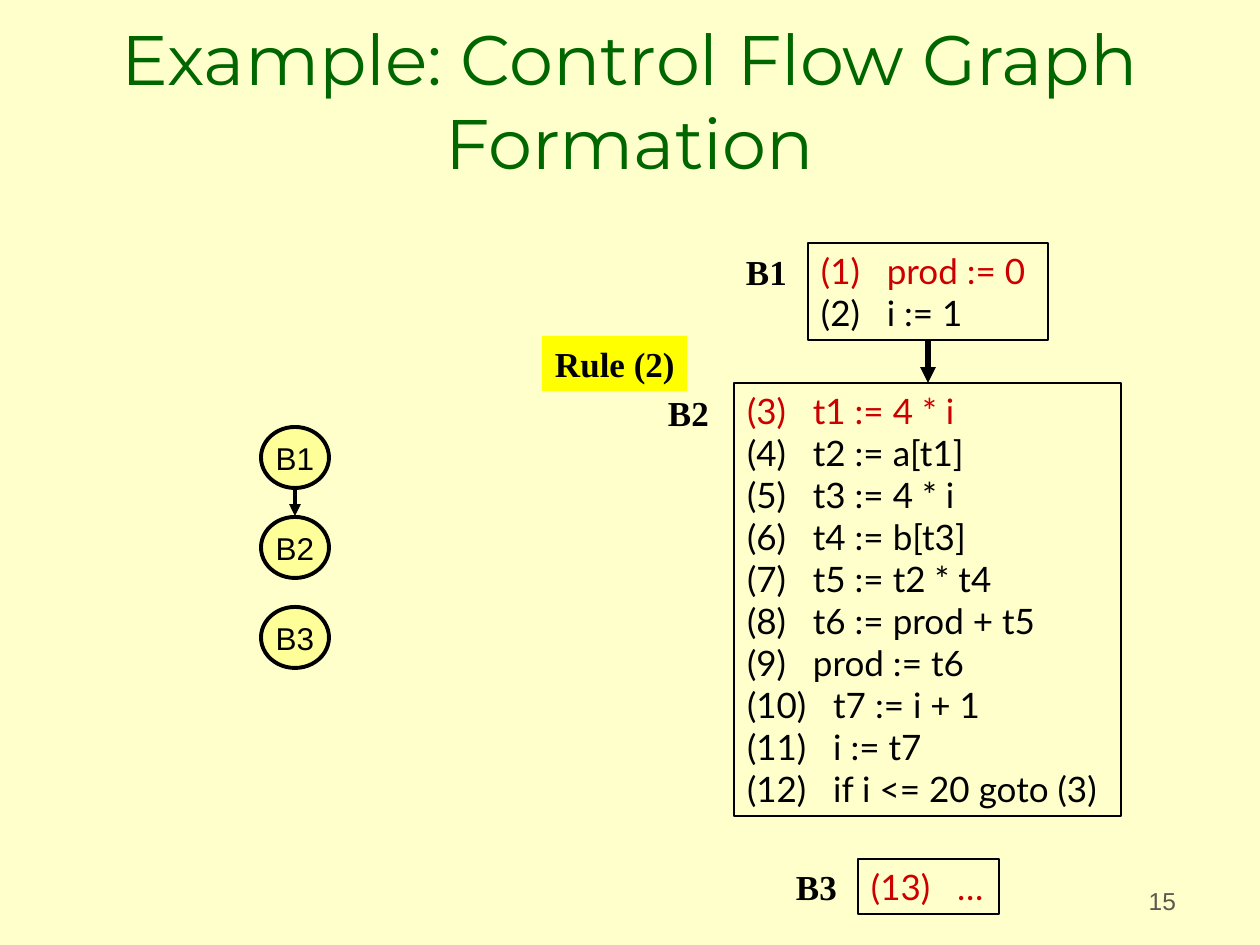
import pptx
import pptx.dml.color
import pptx.enum.dml
import pptx.enum.shapes
import pptx.enum.text
import pptx.oxml
import pptx.oxml.ns
import pptx.util

SCALE = 914400 / 126
ALIGN = pptx.enum.text.PP_ALIGN
ANCHOR = pptx.enum.text.MSO_ANCHOR
SHAPE = pptx.enum.shapes.MSO_SHAPE

BLOCKS = [
    ("B1", (733, 244), (808, 243, 240, 97), ["(1)   prod := 0", "(2)   i := 1"]),
    ("B2", (655, 385), (734, 383, 387, 433), [
        "(3)   t1 := 4 * i",
        "(4)   t2 := a[t1]",
        "(5)   t3 := 4 * i",
        "(6)   t4 := b[t3]",
        "(7)   t5 := t2 * t4",
        "(8)   t6 := prod + t5",
        "(9)   prod := t6",
        "(10)   t7 := i + 1",
        "(11)   i := t7",
        "(12)   if i <= 20 goto (3)",
    ]),
    ("B3", (783, 859), (858, 859, 141, 55), ["(13)   …"]),
]


def px(length):
    return pptx.util.Emu(round(length * SCALE))


def colour(hex_string):
    return pptx.dml.color.RGBColor.from_string(hex_string)


def write(shape, lines, font="Times New Roman", size=20, color="000000", first_color=None,
          bold=False, align=ALIGN.LEFT, anchor=ANCHOR.TOP, wrap=False, margins=(13, 6, 13, 6)):
    frame = shape.text_frame
    frame.word_wrap = wrap
    frame.vertical_anchor = anchor
    (frame.margin_left, frame.margin_top,
     frame.margin_right, frame.margin_bottom) = map(px, margins)
    for index, line in enumerate(lines):
        para = frame.add_paragraph() if index else frame.paragraphs[0]
        para.alignment = align
        span = para.add_run()
        span.text = line
        span.font.name = font
        span.font.size = pptx.util.Pt(size)
        span.font.bold = bold
        span.font.color.rgb = colour(first_color if first_color and index == 0 else color)


def add_text(page, box, text, **formats):
    write(page.shapes.add_textbox(*map(px, box)), [text], **formats)


def add_panel(page, kind, box, lines, fill, line_width=0, **formats):
    shape = page.shapes.add_shape(kind, *map(px, box))
    shape.shadow.inherit = False
    shape.fill.solid()
    shape.fill.fore_color.rgb = colour(fill)
    if line_width:
        shape.line.color.rgb = colour("000000")
        shape.line.width = pptx.util.Pt(line_width)
    else:
        shape.line.fill.background()
    write(shape, lines, **formats)


def add_arrow(page, x, top, bottom, width):
    arrow = page.shapes.add_connector(
        pptx.enum.shapes.MSO_CONNECTOR.STRAIGHT, px(x), px(top), px(x), px(bottom))
    arrow.line.color.rgb = colour("000000")
    arrow.line.width = pptx.util.Pt(width)
    namespace = pptx.oxml.ns.nsdecls("a")
    arrow.line._get_or_add_ln().append(
        pptx.oxml.parse_xml(f'<a:tailEnd {namespace} type="triangle"/>'))
    arrow._element.spPr.append(pptx.oxml.parse_xml(f"<a:effectLst {namespace}/>"))


def add_graph(page, box):
    left, top, width, height = box
    node_height, step = 61, (height - 61) // 2
    for index, (name, *_) in enumerate(BLOCKS):
        add_panel(page, SHAPE.OVAL, (left, top + index * step, width, node_height), [name],
                  "FFFF99", 2.25, font="Arial", size=18, align=ALIGN.CENTER, anchor=ANCHOR.MIDDLE)
    add_arrow(page, left + width / 2, top + node_height + 1, top + step - 1, 2.25)


def add_code(page, box):
    left, top = box[:2]
    for name, (label_x, label_y), (x, y, width, height), lines in BLOCKS:
        add_panel(page, SHAPE.RECTANGLE, (left + x, top + y, width, height), lines, "FFFFCC", 0.75,
                  font="Lato", first_color="CC0000")
        add_text(page, (left + label_x, top + label_y, 66, 55), name, bold=True,
                 margins=(13, 6, 4, 6))
    add_arrow(page, left + 928, top + 341, top + 383, 3)
    add_panel(page, SHAPE.RECTANGLE, (left + 542, top + 336, 145, 55), ["Rule (2)"], "FFFF00",
              bold=True, wrap=True, margins=(13, 6, 4, 6))


def main():
    deck = pptx.Presentation()
    deck.slide_width, deck.slide_height = px(1260), px(945)
    page = deck.slides.add_slide(deck.slide_layouts[6])
    page.background.fill.solid()
    page.background.fill.fore_color.rgb = colour("FFFFCC")
    add_text(page, (94, 31, 1071, 158), "Example: Control Flow Graph Formation",
             font="Montserrat", size=40, color="006600", align=ALIGN.CENTER,
             anchor=ANCHOR.BOTTOM, wrap=True)
    add_text(page, (927, 858, 262, 63), "15", font="Arial", size=14, color="5E574E",
             align=ALIGN.RIGHT, anchor=ANCHOR.BOTTOM, wrap=True)
    add_code(page, (0, 0, 1260, 945))
    add_graph(page, (261, 427, 68, 241))
    deck.save("out.pptx")


if __name__ == "__main__":
    main()
